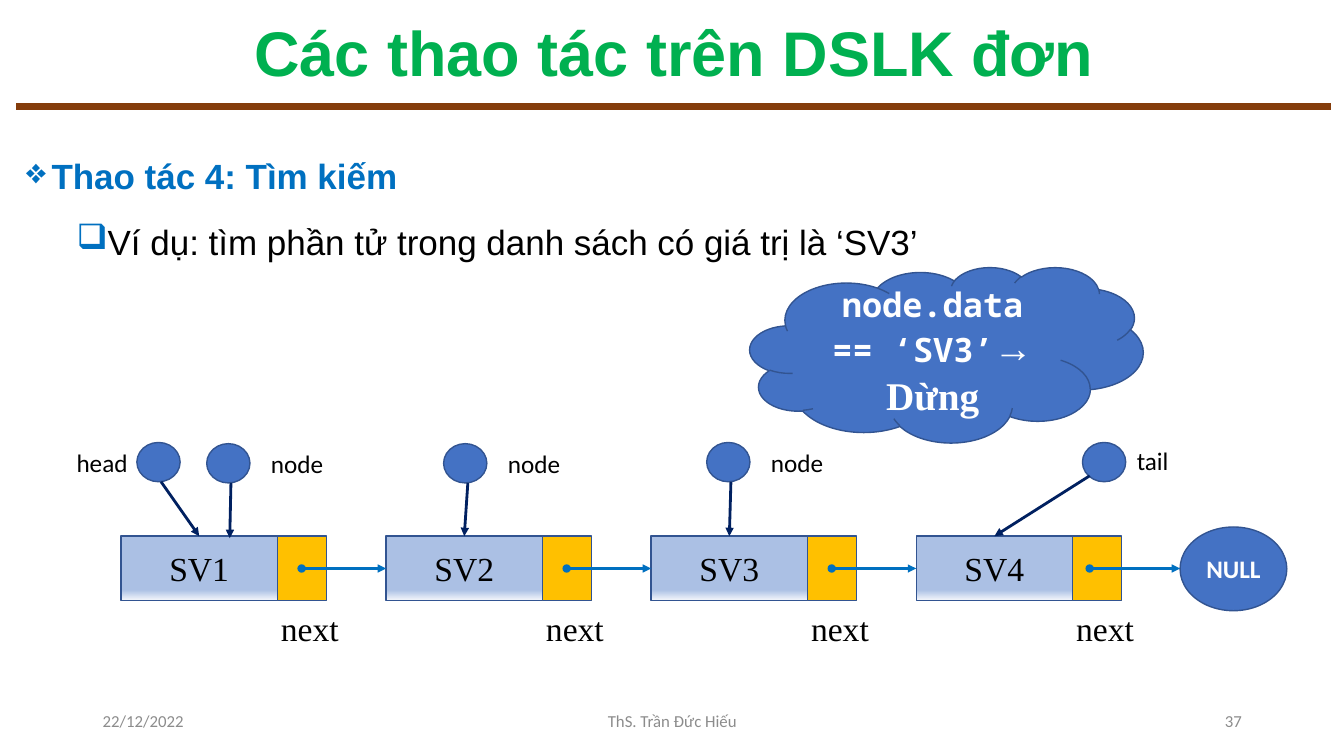
import pptx
import pptx.util
import pptx.dml.color
import pptx.enum.shapes
import pptx.enum.text
import pptx.oxml
import pptx.oxml.ns
from lxml import etree

Cm, Pt = pptx.util.Cm, pptx.util.Pt
RGBColor = pptx.dml.color.RGBColor
SHAPE = pptx.enum.shapes.MSO_SHAPE
STRAIGHT = pptx.enum.shapes.MSO_CONNECTOR.STRAIGHT
ALIGN = pptx.enum.text.PP_ALIGN
ANCHOR = pptx.enum.text.MSO_ANCHOR
AUTO_SIZE = pptx.enum.text.MSO_AUTO_SIZE
qn = pptx.oxml.ns.qn

BLACK = RGBColor(0x00, 0x00, 0x00)
WHITE = RGBColor(0xFF, 0xFF, 0xFF)
GREEN = RGBColor(0x00, 0xB0, 0x50)
BROWN = RGBColor(0x84, 0x3C, 0x0B)
GRAY = RGBColor(0x8C, 0x8C, 0x8C)
SKY = RGBColor(0x00, 0x70, 0xC0)
NAVY = RGBColor(0x00, 0x20, 0x60)
BLUE = RGBColor(0x44, 0x72, 0xC4)
OUTLINE = RGBColor(0x32, 0x54, 0x91)
AMBER = RGBColor(0xFF, 0xC0, 0x00)
DATA_STOPS = [(74, "ABC0E4"), (83, "ABC0E4"), (100, "F6F8FC"), (100, "C7D5ED")]

TITLE = "Các thao tác trên DSLK đơn"
BODY = [
    ("Thao tác 4: Tìm kiếm", "❖", SKY, True, 0.64, 1.3, 10, ALIGN.LEFT),
    ("Ví dụ: tìm phần tử trong danh sách có giá trị là ‘SV3’", "❑", BLACK, False,
     1.91, 1.4, 5, ALIGN.JUSTIFY),
]
FOOTER = [
    ("22/12/2022", 2.34, 7.62, ALIGN.LEFT),
    ("ThS. Trần Đức Hiếu", 11.23, 11.43, ALIGN.CENTER),
    ("37", 23.93, 7.62, ALIGN.RIGHT),
]
STUDENTS = ["SV1", "SV2", "SV3", "SV4"]
# label, circle, label position, arrow start, target student, free arrow end
POINTERS = [
    ("head", (3.45, 11.15), (1.68, 11.15), (4.06, 12.14), 0, None),
    ("node", (5.21, 11.18), (6.58, 11.18), (5.82, 12.17), 0, (5.79, 13.56)),
    ("node", (11.18, 11.18), (12.55, 11.18), (11.79, 12.17), 1, None),
    ("node", (17.81, 11.15), (19.18, 11.15), (18.42, 12.14), 2, None),
    ("tail", (27.28, 11.15), (28.4, 11.1), (27.46, 11.99), 3, None),
]
LIST_X, LIST_Y, PITCH = 3.05, 13.51, 6.68
DATA_W, NEXT_W, CELL_H = 3.94, 1.24, 1.63
MID_Y = LIST_Y + CELL_H / 2
NULL_X = 29.74

prs = pptx.Presentation()
prs.slide_width, prs.slide_height = Cm(33.87), Cm(19.05)
s = prs.slides.add_slide(prs.slide_layouts[6])


def style(r, size, font, color, bold=False):
    r.font.size, r.font.name, r.font.bold = Pt(size), font, bold
    r.font.color.rgb = color


def add_text(text, x, y, w, h, size, font, color, align=ALIGN.LEFT, bold=False,
             anchor=ANCHOR.MIDDLE, wrap=True):
    sp = s.shapes.add_textbox(Cm(x), Cm(y), Cm(w), Cm(h))
    tf = sp.text_frame
    tf.text = text
    tf.word_wrap, tf.vertical_anchor = wrap, anchor
    if not wrap:
        tf.auto_size = AUTO_SIZE.SHAPE_TO_FIT_TEXT
    p = tf.paragraphs[0]
    p.alignment = align
    style(p.runs[0], size, font, color, bold)
    return sp


def add_box(kind, x, y, w, h, fill, text="", size=18, font="Calibri", color=WHITE,
            bold=False):
    sp = s.shapes.add_shape(kind, Cm(x), Cm(y), Cm(w), Cm(h))
    sp.shadow.inherit = False
    sp.line.color.rgb, sp.line.width = OUTLINE, Pt(1)
    if isinstance(fill, list):
        sp.fill.gradient()
        sp.fill.gradient_angle = 270
        stops = sp.element.spPr.find(".//" + qn("a:gsLst"))
        for gs in list(stops):
            stops.remove(gs)
        for pos, rgb in fill:
            gs = etree.SubElement(stops, qn("a:gs"), pos=str(pos * 1000))
            etree.SubElement(gs, qn("a:srgbClr"), val=rgb)
    else:
        sp.fill.solid()
        sp.fill.fore_color.rgb = fill
    if text:
        tf = sp.text_frame
        tf.text = text
        tf.word_wrap, tf.vertical_anchor = True, ANCHOR.MIDDLE
        p = tf.paragraphs[0]
        p.alignment = ALIGN.CENTER
        style(p.runs[0], size, font, color, bold)
    return sp


def add_line(start, end, color, width, head=None, tail=None):
    c = s.shapes.add_connector(STRAIGHT, *map(Cm, start + end))
    c.line.color.rgb, c.line.width = color, Pt(width)
    ln = c.line._get_or_add_ln()
    for tag, kind in (("a:headEnd", head), ("a:tailEnd", tail)):
        if kind:
            etree.SubElement(ln, qn(tag), type=kind)
    etree.SubElement(c.element.spPr, qn("a:effectLst"))
    return c


add_line((0.41, 2.69), (33.55, 2.69), BROWN, 5)
title = add_text(TITLE, 0.41, 0.38, 33.15, 2.06, 45, "Arial", GREEN, ALIGN.CENTER, True)
title.text_frame.paragraphs[0].line_spacing = 0.9
for text, x, w, align in FOOTER:
    add_text(text, x, 17.65, w, 1.02, 12, "Calibri", GRAY, align)

tf = s.shapes.add_textbox(Cm(0.41), Cm(3.45), Cm(33.15), Cm(15.37)).text_frame
tf.word_wrap = True
for i, (text, bullet, color, bold, indent, spacing, before, align) in enumerate(BODY):
    p = tf.add_paragraph() if i else tf.paragraphs[0]
    p.text, p.level, p.alignment = text, i, align
    p.line_spacing, p.space_before = spacing, Pt(before)
    style(p.runs[0], 25, "Arial", color, bold)
    pPr = p._p.get_or_add_pPr()
    pPr.set("marL", str(Cm(indent)))
    pPr.set("indent", str(-Cm(0.64)))
    clr = etree.SubElement(pPr, qn("a:buClr"))
    etree.SubElement(clr, qn("a:srgbClr"), val=str(SKY))
    etree.SubElement(pPr, qn("a:buChar"), char=bullet)

cells = []
for i, name in enumerate(STUDENTS):
    x = LIST_X + i * PITCH
    cells.append(add_box(SHAPE.RECTANGLE, x, LIST_Y, DATA_W, CELL_H, DATA_STOPS,
                         name, 24, "Times New Roman", BLACK))
    add_box(SHAPE.RECTANGLE, x + DATA_W, LIST_Y, NEXT_W, CELL_H, AMBER)
    add_text("next", x + 3.78, 15.19, 1.98, 1.27, 24, "Times New Roman", BLACK,
             anchor=ANCHOR.TOP, wrap=False)
add_box(SHAPE.OVAL, NULL_X, 13.28, 2.69, 2.11, BLUE, "NULL", bold=True)

for i in range(len(cells)):
    x = LIST_X + i * PITCH
    last = i == len(cells) - 1
    start = (x + (4.37 if last else 4.55), MID_Y)
    end = (NULL_X if last else x + PITCH, MID_Y)
    link = add_line(start, end, SKY, 2, "oval", "triangle")
    if not last:
        link.end_connect(cells[i + 1], 1)

for label, circle, label_at, start, target, free_end in POINTERS:
    add_box(SHAPE.OVAL, *circle, 1.09, 0.99, BLUE)
    add_text(label, *label_at, 1.85 if label != "tail" else 1.32, 1.02, 18, "Calibri",
             BLACK, anchor=ANCHOR.TOP, wrap=False)
    top = (LIST_X + target * PITCH + DATA_W / 2, LIST_Y)
    arrow = add_line(start, free_end or top, NAVY, 2, tail="triangle")
    if not free_end:
        arrow.end_connect(cells[target], 0)

cloud = add_box(SHAPE.CLOUD, 18.9, 6.73, 9.91, 4.42, BLUE, "node.data == ‘SV3’", 24,
                "Noto Sans Mono", WHITE, True)
r = cloud.text_frame.paragraphs[0].add_run()
r.text = "→ Dừng"
style(r, 28, "Times New Roman", WHITE, True)

prs.save("out.pptx")
